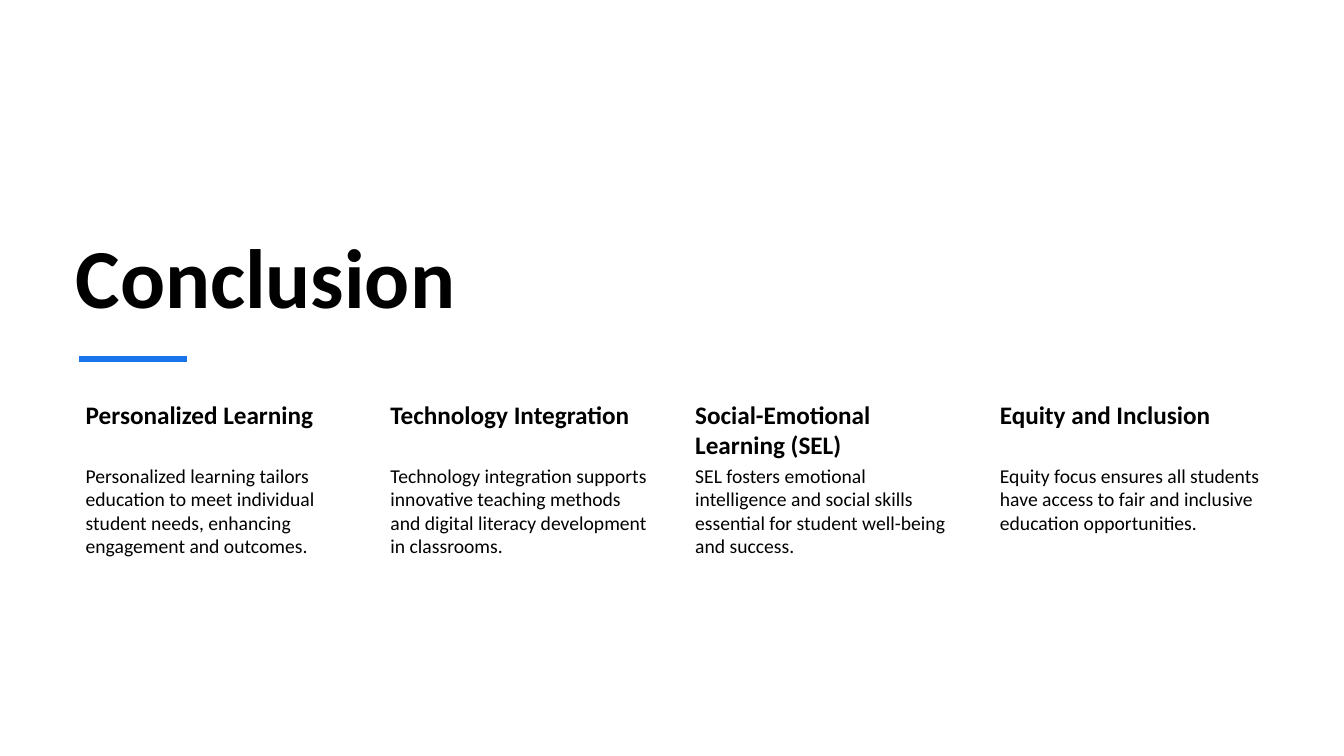
from dataclasses import dataclass

from pptx import Presentation
from pptx.dml.color import RGBColor
from pptx.enum.shapes import MSO_CONNECTOR
from pptx.enum.text import MSO_ANCHOR
from pptx.oxml.ns import qn
from pptx.util import Inches, Pt
from lxml.etree import SubElement


@dataclass(frozen=True)
class Theme:
    font: str = "Calibri"
    ink: RGBColor = RGBColor(0x00, 0x00, 0x00)
    accent: RGBColor = RGBColor(0x19, 0x73, 0xEB)
    title_size: int = 60
    heading_size: int = 18
    body_size: int = 14
    rule_width: float = 4.5


THEME = Theme()

TAKEAWAYS = [
    ("Personalized Learning",
     "Personalized learning tailors education to meet individual student "
     "needs, enhancing engagement and outcomes."),
    ("Technology Integration",
     "Technology integration supports innovative teaching methods and "
     "digital literacy development in classrooms."),
    ("Social-Emotional Learning (SEL)",
     "SEL fosters emotional intelligence and social skills essential for "
     "student well-being and success."),
    ("Equity and Inclusion",
     "Equity focus ensures all students have access to fair and inclusive "
     "education opportunities."),
]


def add_text(slide, box, text, size, insets, bold=False, anchor=MSO_ANCHOR.TOP):
    """Place one paragraph; box and insets are in inches, insets as (left, others)."""
    frame = slide.shapes.add_textbox(*map(Inches, box)).text_frame
    frame.word_wrap = True
    frame.vertical_anchor = anchor
    left, others = map(Inches, insets)
    frame.margin_left = left
    frame.margin_top = frame.margin_right = frame.margin_bottom = others
    run = frame.paragraphs[0].add_run()
    run.text = text
    font = run.font
    font.name, font.size, font.bold = THEME.font, Pt(size), bold
    font.color.rgb = THEME.ink


def add_title(slide, box, title):
    add_text(slide, box, title, THEME.title_size, (0.05, 0.03),
             bold=True, anchor=MSO_ANCHOR.BOTTOM)


def add_accent_rule(slide, left, top, length):
    rule = slide.shapes.add_connector(
        MSO_CONNECTOR.STRAIGHT,
        Inches(left), Inches(top), Inches(left + length), Inches(top))
    rule.line.color.rgb = THEME.accent
    rule.line.width = Pt(THEME.rule_width)
    SubElement(rule._element.spPr, qn("a:effectLst"))


def add_takeaways(slide, box, takeaways, gap=0.27, heading_height=0.65):
    """Fill the box with equal columns, each a heading over its body."""
    left, top, width, height = box
    column = (width - gap * (len(takeaways) - 1)) / len(takeaways)
    for index, (heading, body) in enumerate(takeaways):
        x = left + index * (column + gap)
        add_text(slide, (x, top, column, heading_height), heading,
                 THEME.heading_size, (0.15, 0.03), bold=True)
        add_text(slide, (x, top + heading_height, column, height - heading_height),
                 body, THEME.body_size, (0.15, 0.02))


def main():
    deck = Presentation()
    deck.slide_width, deck.slide_height = Inches(13.33), Inches(7.5)
    slide = deck.slides.add_slide(deck.slide_layouts[6])
    add_title(slide, (0.7, 1.72, 8.93, 1.54), "Conclusion")
    add_takeaways(slide, (0.7, 3.93, 11.82, 2.73), TAKEAWAYS)
    add_accent_rule(slide, left=0.78, top=3.56, length=1.07)
    deck.save("out.pptx")


if __name__ == "__main__":
    main()
